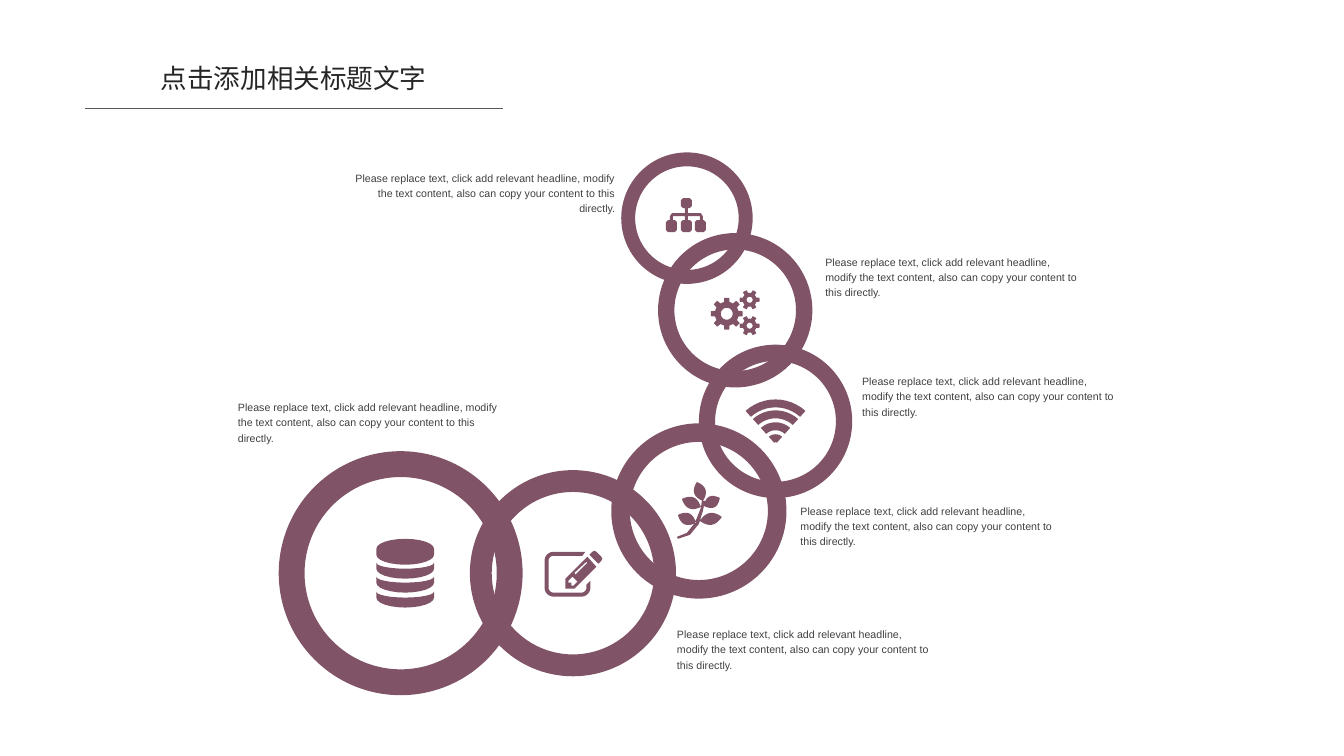
"""Build a slide with a chain of six icon rings, each with a caption."""
from math import cos, hypot, pi, radians, sin

from lxml.etree import SubElement
from pptx import Presentation
from pptx.dml.color import RGBColor
from pptx.enum.shapes import MSO_CONNECTOR, MSO_SHAPE
from pptx.enum.text import MSO_ANCHOR as Anchor, MSO_AUTO_SIZE as AutoSize, PP_ALIGN as Align
from pptx.oxml.ns import qn
from pptx.util import Pt

PX = 9525
THEME = {
    "plum": RGBColor.from_string("815366"),
    "title": RGBColor.from_string("262626"),
    "caption": RGBColor.from_string("404040"),
    "rule": RGBColor.from_string("595959"),
    "font": "Arial",
    "title_size": Pt(20),
    "caption_size": Pt(8),
    "rule_width": Pt(0.5),
}
CAPTION = ("Please replace text, click add relevant headline, modify the text content, "
           "also can copy your content to this directly.")

presentation = Presentation()
presentation.slide_width = 1350 * PX
presentation.slide_height = 759 * PX
slide = presentation.slides.add_slide(presentation.slide_layouts[5])
shapes = slide.shapes


def arc(center_x, center_y, radius_x, radius_y, start, end, steps=12):
    """Return points along an elliptical arc, with angles in clockwise degrees."""
    angles = [radians(start + (end - start) * step / steps) for step in range(steps + 1)]
    return [(center_x + radius_x * cos(angle), center_y + radius_y * sin(angle)) for angle in angles]


def add_icon(contours):
    """Draw closed contours as one filled outline."""
    builder = shapes.build_freeform(*[value * PX for value in contours[0][0]], scale=1.0)
    for index, contour in enumerate(contours):
        points = [(x * PX, y * PX) for x, y in contour]
        if index:
            builder.move_to(*points[0])
        builder.add_line_segments(points[1:], close=True)
    icon = builder.convert_to_shape()
    icon.shadow.inherit = False
    icon.fill.solid()
    icon.fill.fore_color.rgb = THEME["plum"]
    icon.line.fill.background()


rings = [(624, 153, 132), (661, 234, 155), (702, 346, 154),
         (614, 425, 176), (472, 472, 207), (280, 453, 245)]
for left, top, size in rings:
    ring = shapes.add_shape(MSO_SHAPE.DONUT, left * PX, top * PX, size * PX, size * PX)
    ring.adjustments[0] = 0.106
    ring.shadow.inherit = False
    ring.fill.solid()
    ring.fill.fore_color.rgb = THEME["plum"]
    ring.line.fill.background()

org_chart = [[(688, 209), (691, 209), (691, 214), (704, 214), (706, 217), (706, 221),
              (703, 221), (703, 217), (691, 217), (691, 221), (688, 221), (688, 217),
              (676, 217), (676, 221), (673, 221), (673, 217), (675, 214), (688, 214)]]
for left, top, height in [(684, 199, 10), (669, 221, 12), (684, 221, 12), (698, 221, 12)]:
    right, bottom = left + 11, top + height
    org_chart.append([(left + 2, top), (right - 2, top), (right, top + 2), (right, bottom - 2),
                      (right - 2, bottom), (left + 2, bottom), (left, bottom - 2), (left, top + 2)])
add_icon(org_chart)

gears = []
for center_x, center_y, tip, root, hole, teeth in [
        (730, 315, 16, 12, 6, 8), (753, 301, 10, 7, 3, 6), (753, 327, 10, 7, 3, 6)]:
    pitch = 360 / teeth
    gear = []
    for tooth in range(teeth):
        angle = tooth * pitch
        gear += arc(center_x, center_y, tip, tip, angle - pitch * 0.2, angle + pitch * 0.2, 3)
        gear += arc(center_x, center_y, root, root, angle + pitch * 0.3, angle + pitch * 0.7, 3)
    gears += [gear, arc(center_x, center_y, hole, hole, 0, 360, 24)]
add_icon(gears)

add_icon([arc(779, 446, outer, outer, 228, 312) + arc(779, 446, outer - 8, outer - 8, 312, 228)
          for outer in (45, 34, 22, 10)])

branch = [[(680, 539), (690, 535), (698, 525), (704, 510), (705, 503), (708, 503),
           (706, 513), (702, 526), (693, 537), (681, 541)]]
leaves = [((706, 503), (700, 484)), ((704, 509), (685, 501)), ((707, 508), (723, 500)),
          ((699, 525), (681, 517)), ((703, 523), (725, 519))]
for (base_x, base_y), (tip_x, tip_y) in leaves:
    run, rise = tip_x - base_x, tip_y - base_y
    length = hypot(run, rise)
    leaf = []
    for step in range(24):
        angle = 2 * pi * step / 24
        along = (1 - cos(angle)) / 2
        side = 6 * sin(angle) * abs(sin(angle)) / length
        leaf.append((base_x + run * along - rise * side, base_y + rise * along + run * side))
    branch.append(leaf)
add_icon(branch)

frame = ([(588, 554)] + arc(556, 563, 9, 9, 270, 180) + arc(556, 590, 9, 9, 180, 90)
         + arc(584, 590, 9, 9, 90, 0) + [(593, 583), (589, 587)]
         + arc(584, 590, 5, 5, 0, 90) + arc(556, 590, 5, 5, 90, 180)
         + arc(556, 563, 5, 5, 180, 270) + [(585, 558)])
pencil = [(599, 569), (577, 591), (568, 591), (568, 581), (590, 559)]
pencil_point = [(580, 584), (575, 579), (571, 583), (571, 585), (574, 585), (574, 588), (576, 588)]
pencil_groove = [(589, 564), (577, 575), (578, 577), (590, 565)]
eraser = [(601, 566), (592, 557), (595, 554), (597, 553), (599, 554), (604, 559), (605, 561), (604, 563)]
add_icon([frame, pencil, pencil_point, pencil_groove, eraser])

database = [arc(407, 551, 29, 10, 180, 360) + arc(407, 557, 29, 10, 0, 180)]
for top in (565, 579, 594):
    database.append(arc(407, top, 29, 6, 180, 0) + arc(407, top + 6, 29, 10, 0, 180))
add_icon(database)

captions = [(239, 400, 262, Align.LEFT), (680, 628, 259, Align.LEFT), (804, 504, 259, Align.LEFT),
            (866, 374, 259, Align.LEFT), (829, 254, 259, Align.LEFT), (356, 170, 262, Align.RIGHT)]
title = shapes.title
title.left, title.top, title.width, title.height = 134 * PX, 62 * PX, 322 * PX, 33 * PX
texts = [(title, "点击添加相关标题文字", "title", Align.CENTER)]
for left, top, width, align in captions:
    box = shapes.add_textbox(left * PX, top * PX, width * PX, 45 * PX)
    texts.append((box, CAPTION, "caption", align))

for box, text, role, align in texts:
    frame = box.text_frame
    frame.word_wrap = True
    frame.auto_size = AutoSize.SHAPE_TO_FIT_TEXT
    frame.margin_left = frame.margin_right = frame.margin_top = frame.margin_bottom = 0
    frame.vertical_anchor = Anchor.MIDDLE if role == "title" else Anchor.TOP
    paragraph = frame.paragraphs[0]
    paragraph.alignment = align
    paragraph.line_spacing = 1.0 if role == "title" else 1.2
    run = paragraph.add_run()
    run.text = text
    run.font.name = THEME["font"]
    run.font.size = THEME[role + "_size"]
    run.font.color.rgb = THEME[role]

rule = shapes.add_connector(MSO_CONNECTOR.STRAIGHT, 85 * PX, 109 * PX, 505 * PX, 109 * PX)
rule.line.color.rgb = THEME["rule"]
rule.line.width = THEME["rule_width"]
SubElement(rule._element.spPr, qn("a:effectLst"))

presentation.save("out.pptx")
